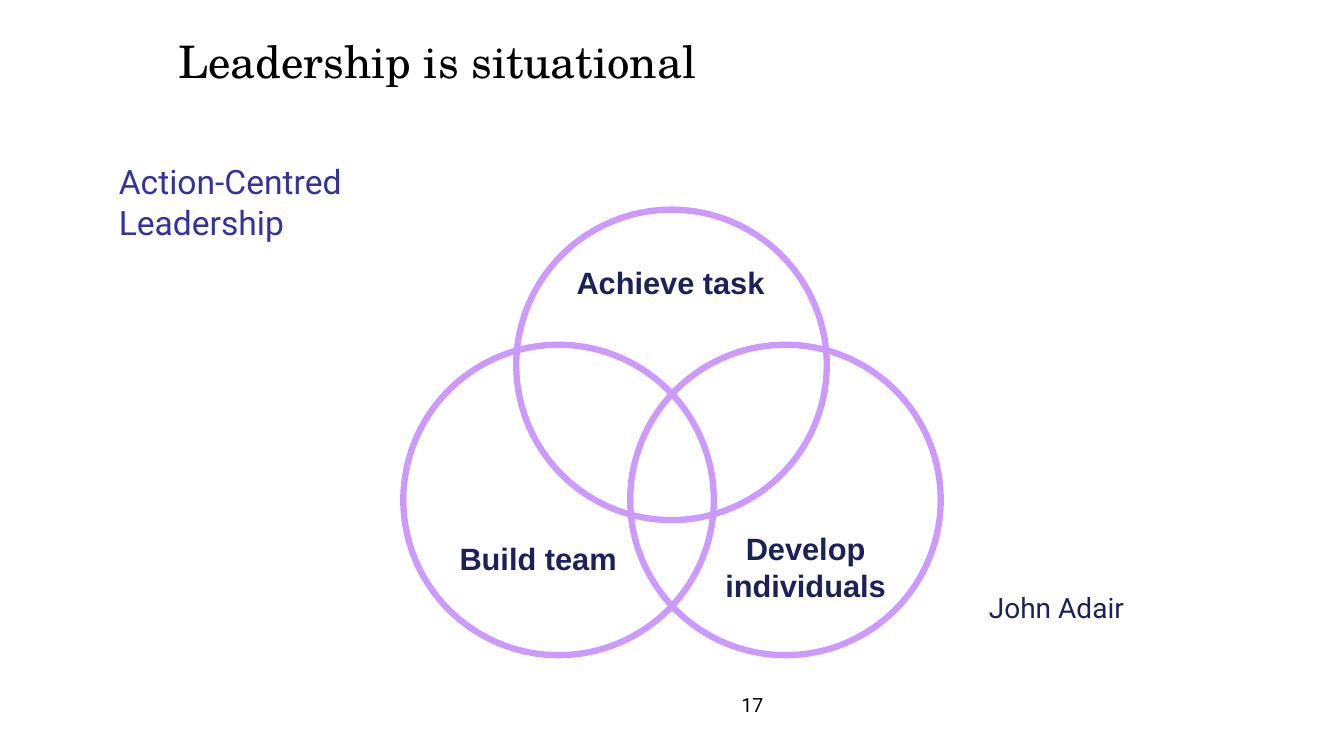
from dataclasses import dataclass

from pptx import Presentation
from pptx.dml.color import RGBColor
from pptx.enum import shapes as shape_kinds, text as text_kinds
from pptx.shapes.shapetree import GroupShapes, SlideShapes
from pptx.util import Inches, Pt

ALIGN = text_kinds.PP_ALIGN
ANCHOR = text_kinds.MSO_ANCHOR


@dataclass(frozen=True)
class TextStyle:
    font: str
    size: float
    color: str
    bold: bool = False


@dataclass(frozen=True)
class Theme:
    ring_color: str = "CC99FF"
    ring_weight: float = 4.5
    title: TextStyle = TextStyle("TeX Gyre Schola", 32, "000000")
    model: TextStyle = TextStyle("Roboto", 24, "333399")
    author: TextStyle = TextStyle("Roboto", 20, "1C2157")
    need: TextStyle = TextStyle("Arial", 22, "1C2157", bold=True)
    number: TextStyle = TextStyle("Roboto", 14, "000000")


@dataclass(frozen=True)
class Label:
    lines: tuple[str, ...]
    left: float
    top: float
    width: float
    height: float
    style: TextStyle
    align: ALIGN = ALIGN.LEFT
    anchor: ANCHOR = ANCHOR.TOP
    wrap: bool = True
    line_spacing: float = 1.0


@dataclass(frozen=True)
class Ring:
    left: float
    top: float


THEME = Theme()
RING_SIZE = 3.08
RINGS = (Ring(6.25, 3.42), Ring(4, 3.42), Ring(5.12, 2.08))

NEEDS = (
    Label(("Achieve task",), 5.62, 2.57, 2.07, 0.47, THEME.need, wrap=False),
    Label(("Build team",), 4.46, 5.31, 1.77, 0.47, THEME.need, wrap=False),
    Label(("Develop", "individuals"), 7.09, 5.21, 1.8, 0.83, THEME.need,
          align=ALIGN.CENTER, wrap=False),
)
CAPTIONS = (
    Label(("Leadership is situational",), 1.67, 0.33, 9.83, 0.61, THEME.title,
          anchor=ANCHOR.MIDDLE, line_spacing=0.9),
    Label(("Action-Centred Leadership",), 1.08, 1.55, 2.75, 0.91, THEME.model),
    Label(("John Adair",), 9.71, 5.81, 2.57, 0.44, THEME.author),
    Label(("17",), 7.17, 6.83, 0.5, 0.5, THEME.number, align=ALIGN.RIGHT),
)


def draw_ring(shapes: GroupShapes, ring: Ring) -> None:
    circle = shapes.add_shape(
        shape_kinds.MSO_SHAPE.OVAL, Inches(ring.left), Inches(ring.top),
        Inches(RING_SIZE), Inches(RING_SIZE))
    circle.shadow.inherit = False
    circle.fill.background()
    circle.line.color.rgb = RGBColor.from_string(THEME.ring_color)
    circle.line.width = Pt(THEME.ring_weight)


def draw_label(shapes: SlideShapes | GroupShapes, label: Label) -> None:
    box = shapes.add_textbox(Inches(label.left), Inches(label.top),
                             Inches(label.width), Inches(label.height))
    frame = box.text_frame
    frame.word_wrap = label.wrap
    frame.vertical_anchor = label.anchor
    for index, line in enumerate(label.lines):
        paragraph = frame.add_paragraph() if index else frame.paragraphs[0]
        paragraph.alignment = label.align
        paragraph.line_spacing = label.line_spacing
        run = paragraph.add_run()
        run.text = line
        run.font.name = label.style.font
        run.font.size = Pt(label.style.size)
        run.font.bold = label.style.bold
        run.font.color.rgb = RGBColor.from_string(label.style.color)


def main() -> None:
    deck = Presentation()
    deck.slide_width, deck.slide_height = Inches(13.33), Inches(7.5)
    slide = deck.slides.add_slide(deck.slide_layouts[6])

    venn = slide.shapes.add_group_shape()
    for ring in RINGS:
        draw_ring(venn.shapes, ring)
    for need in NEEDS:
        draw_label(venn.shapes, need)
    for caption in CAPTIONS:
        draw_label(slide.shapes, caption)

    deck.save("out.pptx")


if __name__ == "__main__":
    main()
